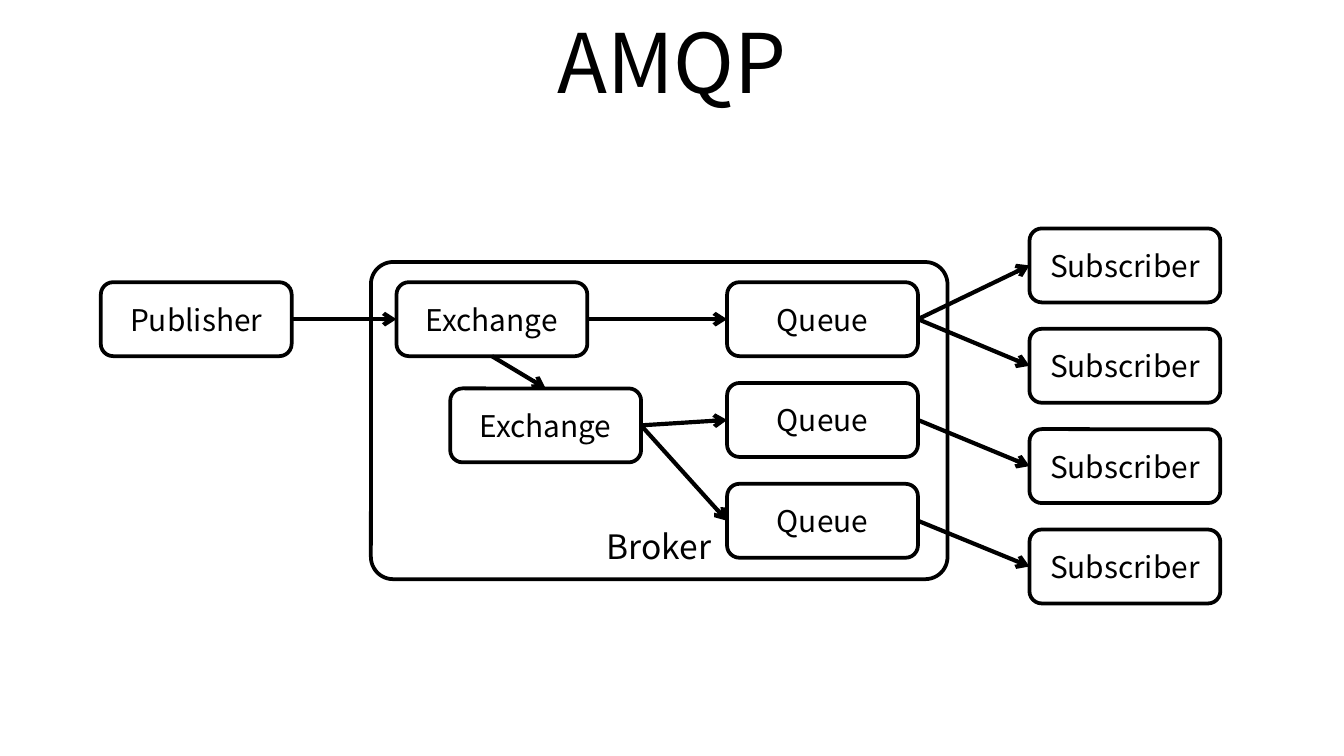
from pptx import Presentation
from pptx.dml.color import RGBColor
from pptx.enum.shapes import MSO_CONNECTOR, MSO_SHAPE
from pptx.enum.text import MSO_ANCHOR, PP_ALIGN
from pptx.oxml.ns import qn
from pptx.util import Inches, Pt
from lxml import etree

BLACK = RGBColor(0, 0, 0)
WHITE = RGBColor(255, 255, 255)
FONT = "Noto Sans CJK KR"
ROUND_RECT = MSO_SHAPE.ROUNDED_RECTANGLE
STRAIGHT = MSO_CONNECTOR.STRAIGHT
MIDDLE, BOTTOM_ANCHOR = MSO_ANCHOR.MIDDLE, MSO_ANCHOR.BOTTOM
CENTER = PP_ALIGN.CENTER
TOP, LEFT, BOTTOM, RIGHT = range(4)  # connection sites of a rounded rectangle

NODE_W, NODE_H = 1.42, 0.55

# name: (label, left, top)
NODES = {
    "publisher": ("Publisher", 0.75, 2.1),
    "exchange1": ("Exchange", 2.95, 2.1),
    "exchange2": ("Exchange", 3.35, 2.89),
}
# label, left, first top, last top, count
COLUMNS = [
    ("Queue", 5.41, 2.1, 3.6, 3),
    ("Subscriber", 7.66, 1.7, 3.94, 4),
]
for label, left, first, last, count in COLUMNS:
    pitch = (last - first) / (count - 1)
    for i in range(count):
        NODES[f"{label.lower()}{i + 1}"] = (label, left, first + i * pitch)

# from node, its side, to node, its side
ARROWS = [
    ("publisher", RIGHT, "exchange1", LEFT),
    ("exchange1", BOTTOM, "exchange2", TOP),
    ("exchange1", RIGHT, "queue1", LEFT),
    ("exchange2", RIGHT, "queue2", LEFT),
    ("exchange2", RIGHT, "queue3", LEFT),
    ("queue1", RIGHT, "subscriber1", LEFT),
    ("queue1", RIGHT, "subscriber2", LEFT),
    ("queue2", RIGHT, "subscriber3", LEFT),
    ("queue3", RIGHT, "subscriber4", LEFT),
]


def write(sp, text, size, anchor=MIDDLE):
    tf = sp.text_frame
    tf.word_wrap = True
    tf.vertical_anchor = anchor
    p = tf.paragraphs[0]
    p.alignment = CENTER
    r = p.add_run()
    r.text = text
    r.font.name = FONT
    r.font.size = Pt(size)
    r.font.color.rgb = BLACK


def add_box(s, text, x, y, w=NODE_W, h=NODE_H, size=16, anchor=MIDDLE):
    sp = s.shapes.add_shape(ROUND_RECT, Inches(x), Inches(y), Inches(w), Inches(h))
    sp.shadow.inherit = False
    sp.fill.solid()
    sp.fill.fore_color.rgb = WHITE
    sp.line.color.rgb = BLACK
    sp.line.width = Pt(2)
    write(sp, text, size, anchor)
    return sp


def add_arrow(s, start, start_side, end, end_side):
    line = s.shapes.add_connector(STRAIGHT, 0, 0, 0, 0)
    line.begin_connect(start, start_side)
    line.end_connect(end, end_side)
    line.line.color.rgb = BLACK
    line.line.width = Pt(2.25)
    ln = line._element.spPr.find(qn("a:ln"))
    etree.SubElement(ln, qn("a:tailEnd"), type="arrow")
    etree.SubElement(line._element.spPr, qn("a:effectLst"))


prs = Presentation()
prs.slide_width = Inches(10)
prs.slide_height = Inches(10 * 9 / 16)
s = prs.slides.add_slide(prs.slide_layouts[6])

title = s.shapes.add_textbox(Inches(0.5), Inches(-0.02), Inches(9), Inches(0.94))
write(title, "AMQP", 44)

broker = add_box(s, "Broker", 2.76, 1.95, 4.29, 2.36, size=18, anchor=BOTTOM_ANCHOR)
broker.adjustments[0] = 0.07

boxes = {name: add_box(s, *node) for name, node in NODES.items()}
for start, start_side, end, end_side in ARROWS:
    add_arrow(s, boxes[start], start_side, boxes[end], end_side)

prs.save("out.pptx")
